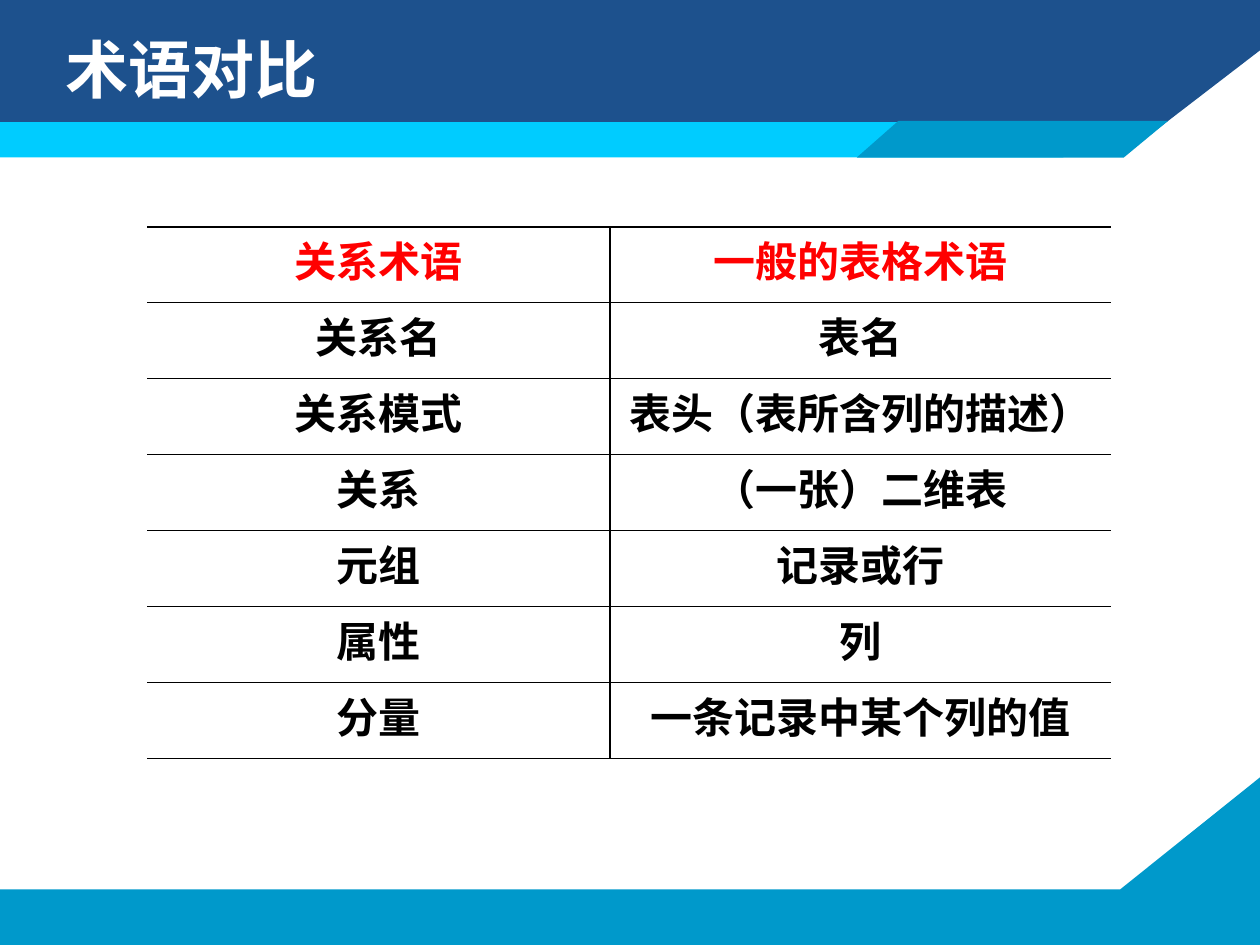
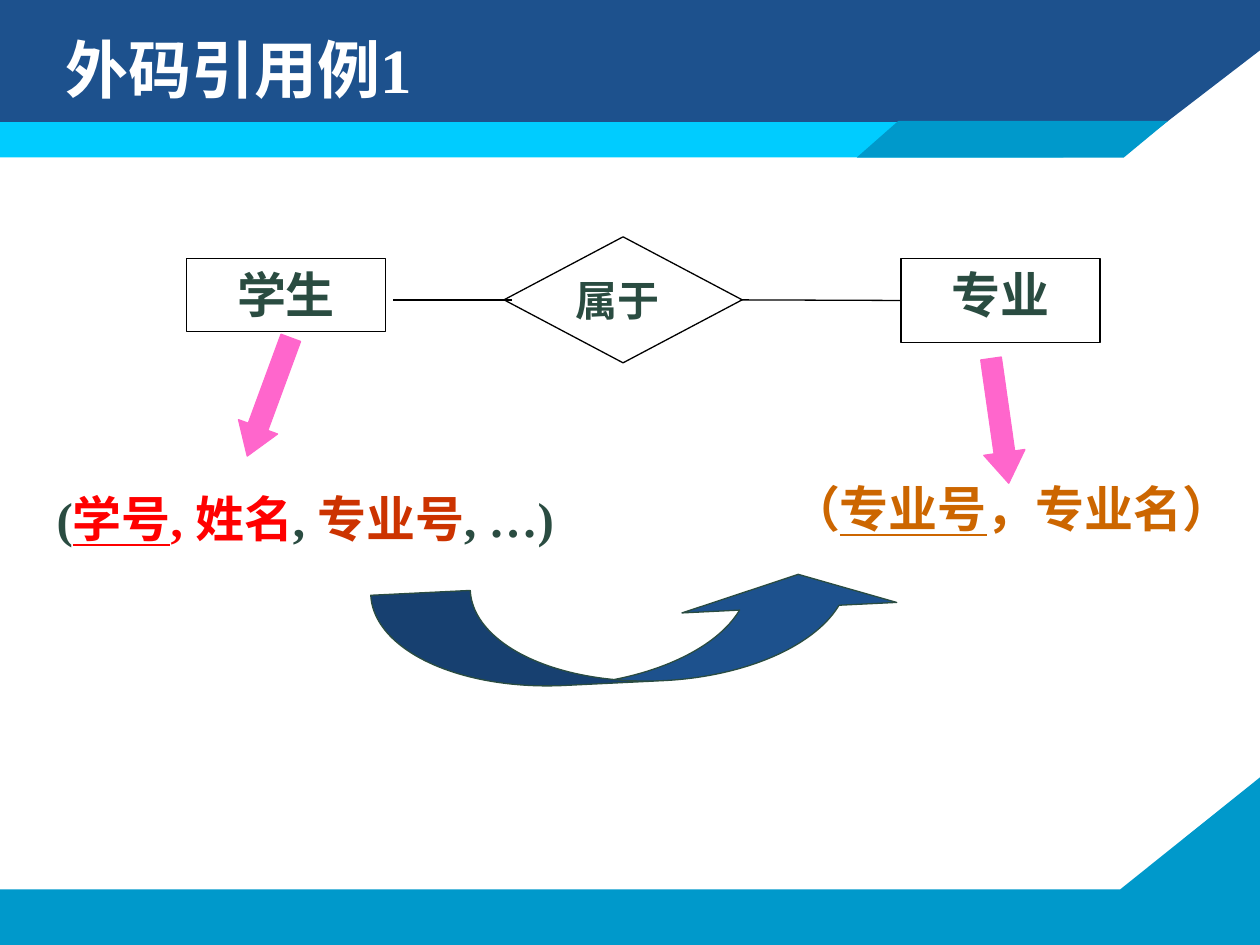
from lxml import etree
from pptx import Presentation
from pptx.dml.color import RGBColor
from pptx.enum import shapes, text
from pptx.oxml import ns
from pptx.util import Emu, Pt

EMU_PER_PX = 9144  # 100 px to the inch
LATIN, CJK = "Times New Roman", "Noto Sans CJK KR"
COLORS = {
    "navy": "1D518D", "cyan": "00CCFF", "teal": "0099CB", "white": "FFFFFF",
    "black": "000000", "red": "FF0000", "green": "2A4C41", "rust": "CC3300",
    "amber": "CC6600", "pink": "FF66CC",
}
KIND = shapes.MSO_SHAPE
ALIGN = text.PP_ALIGN
TOP, MIDDLE = text.MSO_ANCHOR.TOP, text.MSO_ANCHOR.MIDDLE


def px(*lengths):
    return [Emu(length * EMU_PER_PX) for length in lengths]


def color(name):
    return RGBColor.from_string(COLORS[name])


def assign(target, **values):
    for attribute, value in values.items():
        setattr(target, attribute, value)


class Deck:
    """Holds the shared style and the slide being filled."""

    def __init__(self):
        self.prs = Presentation()
        self.prs.slide_width, self.prs.slide_height = px(1000, 750)
        self.layout = self.prs.slide_layouts[5]
        self.slide = None

    def new_slide(self, heading):
        first = self.slide is None
        self.slide = self.prs.slides.add_slide(self.layout)
        if first:
            self.bands()
        title = self.slide.shapes.title
        left, top, width, height = px(42, 17, 742, 75)
        assign(title, left=left, top=top, width=width, height=height)
        self.put_text(title.text_frame, [(heading, "white")], 36, ALIGN.LEFT, MIDDLE)

    def bands(self):
        """Draw the bands and put them on the layout, behind everything."""
        parts = [
            self.outline([(0, 706), (889, 706), (1000, 617), (1000, 750), (0, 750)], "teal"),
            self.outline([(0, 0), (1000, 0), (1000, 40), (892, 123), (0, 124)], "navy"),
            self.shape(KIND.RECTANGLE, (0, 97, 844, 28), "cyan"),
            self.outline([(680, 125), (892, 125), (927, 96), (713, 96)], "teal"),
        ]
        for place, part in enumerate(parts, start=2):
            self.layout.shapes.element.insert(place, part.element)

    def paint(self, shape, fill, line=None):
        shape.shadow.inherit = False
        shape.fill.solid()
        shape.fill.fore_color.rgb = color(fill)
        if line:
            shape.line.color.rgb = color(line)
            shape.line.width = Pt(0.75)
        else:
            shape.line.fill.background()
        return shape

    def outline(self, points, fill):
        builder = self.slide.shapes.build_freeform(*points[0], scale=EMU_PER_PX)
        builder.add_line_segments(points[1:], close=True)
        return self.paint(builder.convert_to_shape(), fill)

    def shape(self, kind, box, fill, line=None, rotation=0, adjust=()):
        shape = self.slide.shapes.add_shape(kind, *px(*box))
        shape.rotation = rotation
        for index, value in enumerate(adjust):
            shape.adjustments[index] = value
        return self.paint(shape, fill, line)

    def node(self, kind, box, label, size, align):
        node = self.shape(kind, box, "white", "black")
        self.put_text(node.text_frame, [(label, "green")], size, align)
        return node

    def put_text(self, frame, runs, size, align=ALIGN.LEFT, anchor=TOP):
        """Each run is (wording, colour) or (wording, colour, extra font values)."""
        assign(frame, word_wrap=True, vertical_anchor=anchor)
        paragraph = frame.paragraphs[0]
        paragraph.alignment = align
        for wording, tint, *extra in runs:
            run = paragraph.add_run()
            run.text = wording
            values = {"name": LATIN, "size": Pt(size), "bold": True}
            for more in extra:
                values.update(more)
            assign(run.font, **values)
            run.font.color.rgb = color(tint)
            latin = run.font._element.find(ns.qn("a:latin"))
            east_asian = etree.Element(ns.qn("a:ea"), typeface=CJK)
            latin.addnext(east_asian)

    def text_box(self, box, runs, size):
        frame = self.slide.shapes.add_textbox(*px(*box)).text_frame
        self.put_text(frame, runs, size)
        frame.auto_size = text.MSO_AUTO_SIZE.SHAPE_TO_FIT_TEXT

    def link(self, start, end):
        link = self.slide.shapes.add_connector(shapes.MSO_CONNECTOR.STRAIGHT, *px(*start, *end))
        link.line.color.rgb = color("black")
        link.line.width = Pt(0.75)
        etree.SubElement(link.element.spPr, ns.qn("a:effectLst"))
        return link

    def border(self, cell, sides):
        """Rule the named sides (L, R, T, B) and clear the others."""
        properties = cell._tc.get_or_add_tcPr()
        for place, side in enumerate("LRTB"):
            rule = etree.Element(ns.qn("a:ln" + side), w=str(int(Pt(1))))
            if side in sides:
                fill = etree.SubElement(rule, ns.qn("a:solidFill"))
                etree.SubElement(fill, ns.qn("a:srgbClr"), val=COLORS["black"])
            else:
                etree.SubElement(rule, ns.qn("a:noFill"))
            properties.insert(place, rule)

    def table(self, left, top, widths, height, rows):
        frame = self.slide.shapes.add_table(
            len(rows), len(widths), *px(left, top, sum(widths), height))
        table = frame.table
        assign(table, first_row=False, horz_banding=False)
        for column, width in zip(table.columns, px(*widths)):
            column.width = width
        side, above, below = px(7, 2, 0)
        for r, wordings in enumerate(rows):
            table.rows[r].height = Emu(height * EMU_PER_PX // len(rows))
            for c, wording in enumerate(wordings):
                cell = table.cell(r, c)
                cell.fill.background()
                self.border(cell, "TB" + "RL"[c])
                assign(cell, margin_left=side, margin_right=side,
                       margin_top=above, margin_bottom=below)
                self.put_text(cell.text_frame, [(wording, "black" if r else "red")],
                              24, ALIGN.CENTER)


def terms_slide(deck):
    deck.new_slide("术语对比")
    deck.table(117, 180, (367, 398), 422, [
        ("关系术语", "一般的表格术语"),
        ("关系名", "表名"),
        ("关系模式", "表头（表所含列的描述）"),
        ("关系", "（一张）二维表"),
        ("元组", "记录或行"),
        ("属性", "列"),
        ("分量", "一条记录中某个列的值"),
    ])


def foreign_key_slide(deck):
    deck.new_slide("外码引用例1")

    # Entities and their relationship
    deck.node(KIND.RECTANGLE, (148, 205, 158, 58), "学生", 28, ALIGN.CENTER)
    major = deck.node(KIND.RECTANGLE, (715, 205, 158, 67), "专业", 28, ALIGN.CENTER)
    belongs = deck.node(KIND.DIAMOND, (400, 188, 189, 100), "属于", 24, ALIGN.JUSTIFY)
    deck.link((312, 238), (406, 238))
    belongs_to_major = deck.link((589, 238), (715, 238))
    belongs_to_major.begin_connect(belongs, 3)
    belongs_to_major.end_connect(major, 1)

    # Attributes of each entity
    underlined = {"name": CJK, "underline": True}
    deck.text_box((35, 383, 415, 57), [
        ("(", "green"), ("学号", "red", underlined), (", 姓名", "red"),
        (", ", "green"), ("专业号", "rust"), (", …)", "green"),
    ], 28)
    deck.text_box((618, 375, 374, 57), [
        ("（", "amber", {"name": CJK}), ("专业号", "amber", underlined),
        ("，专业名）", "amber", {"name": CJK}),
    ], 28)

    # Arrows from entity to attributes, and from foreign key to primary key
    for left, top, rotation in ((197, 265, 200.2), (777, 284, 171.9)):
        deck.shape(KIND.UP_ARROW, (left, top, 33, 100), "pink", "pink", rotation, (0.5, 0.75))
    deck.shape(KIND.CURVED_UP_ARROW, (296, 462, 425, 79), "navy", "green",
               357.2, (1.08, 2.16, 0.33))


def main():
    deck = Deck()
    terms_slide(deck)
    foreign_key_slide(deck)
    deck.prs.save("out.pptx")


if __name__ == "__main__":
    main()
